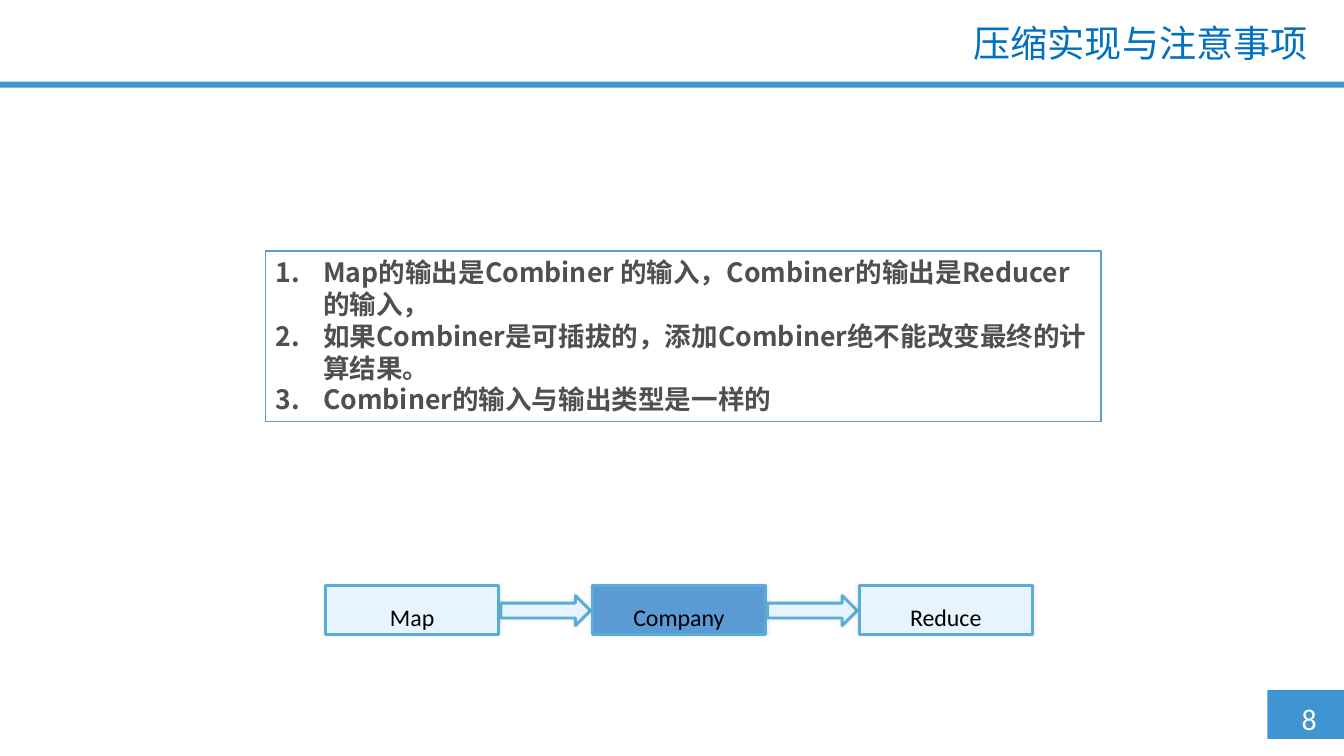
from lxml.etree import SubElement
from pptx import Presentation
from pptx.dml.color import RGBColor
from pptx.enum.shapes import MSO_SHAPE
from pptx.enum.text import MSO_ANCHOR, MSO_AUTO_SIZE, PP_ALIGN
from pptx.oxml import parse_xml
from pptx.oxml.ns import nsdecls, qn
from pptx.util import Emu, Pt

PX = 9525
COLORS = {
    "bar": "3F95D2", "title": "0070C0", "rule": "5B9BD5", "body": "4F4F4F",
    "pale": "E7F4FF", "edge": "5AADD6", "black": "000000", "white": "FFFFFF",
}
CJK = "Noto Sans CJK SC"
LATIN = "Calibri"


class Deck:
    """Style and current slide, with a method for each kind of element."""

    def __init__(self, width, height):
        self.presentation = Presentation()
        self.presentation.slide_width = Emu(width * PX)
        self.presentation.slide_height = Emu(height * PX)
        layout = self.presentation.slide_layouts[1]
        self.slide = self.presentation.slides.add_slide(layout)

    def color(self, name):
        return RGBColor.from_string(COLORS[name])

    def place(self, holder, box):
        holder.left, holder.top, holder.width, holder.height = (Emu(v * PX) for v in box)

    def fill_text(self, frame, text, size, color, font, align=PP_ALIGN.LEFT,
                  spacing=1.0, bold=False, anchor=MSO_ANCHOR.TOP, wrap=True):
        frame.text = text
        frame.word_wrap = wrap
        frame.auto_size = MSO_AUTO_SIZE.NONE
        frame.vertical_anchor = anchor
        for paragraph in frame.paragraphs:
            paragraph.alignment = align
            paragraph.line_spacing = spacing
            paragraph.space_before = Pt(0)
            for run in paragraph.runs:
                run.font.size = Pt(size)
                run.font.bold = bold
                run.font.name = font
                run.font.color.rgb = self.color(color)
                SubElement(run._r.get_or_add_rPr(), qn("a:ea"), typeface=font)

    def title(self, text, box):
        heading = self.slide.shapes.title
        self.place(heading, box)
        self.fill_text(heading.text_frame, text, 28, "title", CJK, PP_ALIGN.RIGHT, 0.9)

    def numbered_list(self, items, box, indent):
        body = self.slide.placeholders[1]
        self.place(body, box)
        body.fill.solid()
        body.fill.fore_color.rgb = self.color("white")
        body.line.color.rgb = self.color("rule")
        body.line.width = Pt(1)
        self.fill_text(body.text_frame, "\n".join(items), 20, "body", CJK, bold=True)
        for paragraph in body.text_frame.paragraphs:
            properties = paragraph._p.get_or_add_pPr()
            properties.set("marL", str(indent * PX))
            properties.set("indent", str(-indent * PX))
            SubElement(properties, qn("a:buFont"), typeface="+mj-lt")
            SubElement(properties, qn("a:buAutoNum"), type="arabicPeriod")

    def shape(self, kind, box, fill):
        item = self.slide.shapes.add_shape(kind, *(Emu(v * PX) for v in box))
        item.shadow.inherit = False
        item.fill.solid()
        item.fill.fore_color.rgb = self.color(fill)
        item.line.fill.background()
        return item

    def stage(self, kind, box, fill, label=""):
        item = self.shape(kind, box, fill)
        item.line.color.rgb = self.color("edge")
        item.line.width = Pt(2.25)
        effects = item._element.spPr.find(qn("a:effectLst"))
        effects.append(parse_xml(
            f'<a:outerShdw {nsdecls("a")} blurRad="{Pt(3)}" dist="0" dir="0">'
            f'<a:srgbClr val="{COLORS["black"]}"><a:alpha val="10000"/></a:srgbClr>'
            '</a:outerShdw>'))
        if label:
            self.fill_text(item.text_frame, label, 18, "black", LATIN,
                           PP_ALIGN.CENTER, 1.5, anchor=MSO_ANCHOR.MIDDLE)

    def text(self, text, box, size, color):
        label = self.slide.shapes.add_textbox(*(Emu(v * PX) for v in box))
        self.fill_text(label.text_frame, text, size, color, LATIN, wrap=False)


def main():
    deck = Deck(1350, 759)
    deck.shape(MSO_SHAPE.RECTANGLE, (1273, 693, 77, 49), "bar")
    deck.shape(MSO_SHAPE.RECTANGLE, (0, 82, 1350, 6), "bar")
    deck.text("8", (1298, 699, 62, 46), 22.5, "white")
    deck.title("压缩实现与注意事项", (909, 21, 414, 55))
    deck.numbered_list([
        "Map的输出是Combiner 的输入，Combiner的输出是Reducer的输入，",
        "如果Combiner是可插拔的，添加Combiner绝不能改变最终的计算结果。",
        "Combiner的输入与输出类型是一样的",
    ], (267, 252, 839, 171), 48)

    stages = [("Map", "pale"), ("Company", "rule"), ("Reduce", "pale")]
    for index, (label, fill) in enumerate(stages):
        left = 327 + 268 * index
        deck.stage(MSO_SHAPE.RECTANGLE, (left, 588, 174, 49), fill, label)
        if index < len(stages) - 1:
            deck.stage(MSO_SHAPE.RIGHT_ARROW, (left + 176, 598, 90, 30), "pale")
    deck.presentation.save("out.pptx")


if __name__ == "__main__":
    main()
